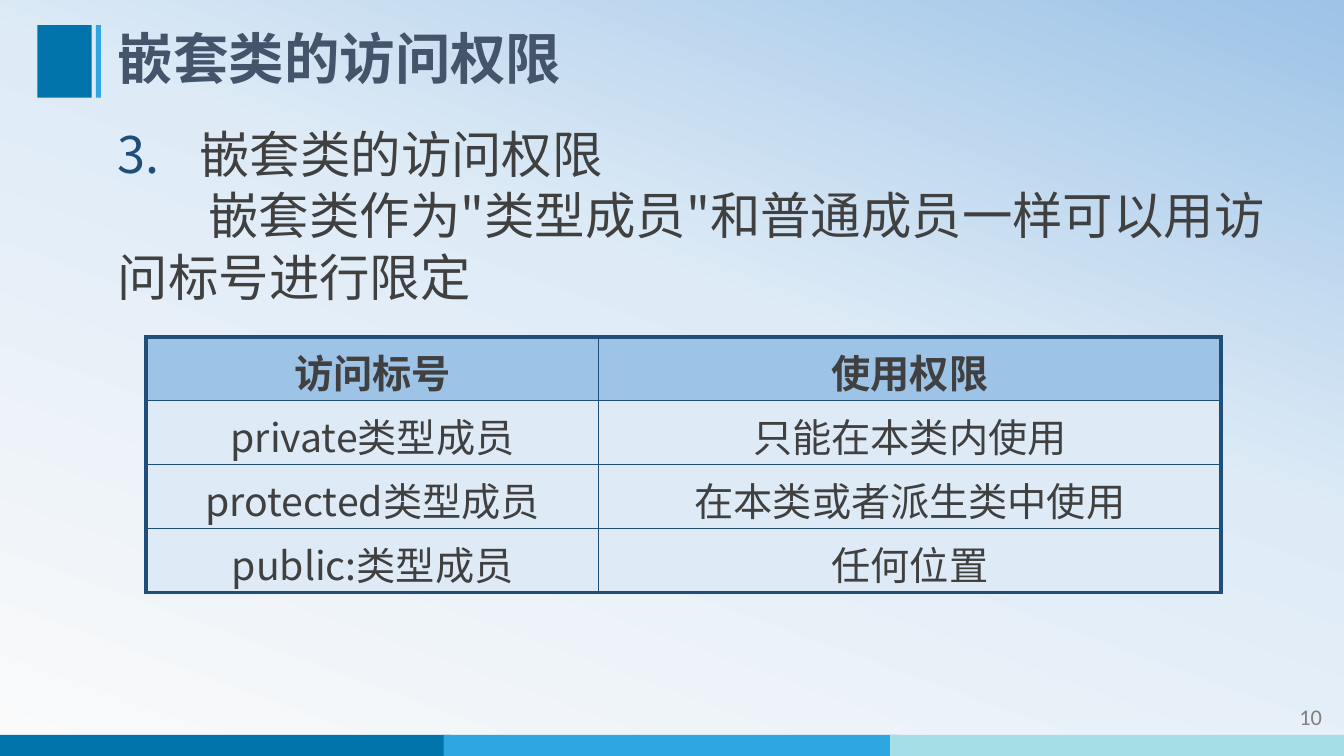
from pptx import Presentation
from pptx.dml.color import RGBColor
from pptx.enum.shapes import MSO_SHAPE
from pptx.enum.text import MSO_ANCHOR, PP_ALIGN
from pptx.oxml import parse_xml
from pptx.oxml.ns import nsdecls, qn
from pptx.util import Inches, Pt

COLORS = {
    "blue": "0073AB", "sky": "2EA7E0", "aqua": "A5DEE4",
    "title": "44546A", "text": "404040", "navy": "1F4E79", "gray": "808080",
    "header": "9DC3E6", "cell": "DEEBF7", "white": "FAFAFA",
}
CJK_FONT = "Noto Sans CJK SC"
TITLE = {"name": CJK_FONT, "size": Pt(39.6), "bold": True, "color": "title"}
BODY = {"name": CJK_FONT, "size": Pt(36), "color": "text"}
HEADER = {"name": CJK_FONT, "size": Pt(28), "bold": True, "color": "text"}
CELL = {**HEADER, "bold": False}
NUMBER = {"name": "Calibri", "size": Pt(16), "color": "gray"}

ACCESS_ROWS = [
    ("访问标号", "使用权限"),
    ("private类型成员", "只能在本类内使用"),
    ("protected类型成员", "在本类或者派生类中使用"),
    ("public:类型成员", "任何位置"),
]


def rgb(color):
    return RGBColor.from_string(COLORS[color])


def set_background(slide, stops, angle):
    stop_xml = "".join(
        f'<a:gs pos="{position * 1000}"><a:srgbClr val="{COLORS[color]}"/></a:gs>'
        for position, color in stops)
    background = parse_xml(
        f'<p:bg {nsdecls("p", "a")}><p:bgPr><a:gradFill rotWithShape="1">'
        f'<a:gsLst>{stop_xml}</a:gsLst><a:lin ang="{angle * 60000}" scaled="0"/>'
        '</a:gradFill><a:effectLst/></p:bgPr></p:bg>')
    slide._element.cSld.insert(0, background)


def add_block(slide, left, top, width, height, color):
    shape = slide.shapes.add_shape(
        MSO_SHAPE.RECTANGLE, Inches(left), Inches(top), Inches(width), Inches(height))
    shape.shadow.inherit = False
    shape.fill.solid()
    shape.fill.fore_color.rgb = rgb(color)
    shape.line.fill.background()


def write(paragraph, text, style, **layout):
    run = paragraph.add_run()
    run.text = text
    for name, value in style.items():
        if name == "color":
            run.font.color.rgb = rgb(value)
        else:
            setattr(run.font, name, value)
    # East Asian characters need their own typeface entry
    properties = run._r.get_or_add_rPr()
    properties.append(parse_xml(f'<a:ea {nsdecls("a")} typeface="{style["name"]}"/>'))
    for name, value in layout.items():
        setattr(paragraph, name, value)


def add_text_frame(slide, left, top, width, height, **settings):
    box = slide.shapes.add_textbox(
        Inches(left), Inches(top), Inches(width), Inches(height))
    for name, value in {"word_wrap": True, **settings}.items():
        setattr(box.text_frame, name, value)
    return box.text_frame


def set_indent(paragraph, margin, first_line):
    properties = paragraph._p.get_or_add_pPr()
    properties.set("marL", str(Inches(margin)))
    properties.set("indent", str(Inches(first_line)))


def number_paragraph(paragraph, start, color):
    properties = paragraph._p.get_or_add_pPr()
    properties.append(parse_xml(
        f'<a:buClr {nsdecls("a")}><a:srgbClr val="{COLORS[color]}"/></a:buClr>'))
    properties.append(parse_xml(
        f'<a:buAutoNum {nsdecls("a")} type="arabicPeriod" startAt="{start}"/>'))


def set_borders(cell, widths):
    properties = cell._tc.get_or_add_tcPr()
    for index, (side, width) in enumerate(widths.items()):
        properties.insert(index, parse_xml(
            f'<a:ln{side} {nsdecls("a")} w="{Pt(width)}"><a:solidFill>'
            f'<a:srgbClr val="{COLORS["navy"]}"/></a:solidFill></a:ln{side}>'))


def add_access_table(slide, left, top, column_widths, row_height, rows):
    last_row, last_column = len(rows) - 1, len(column_widths) - 1
    table = slide.shapes.add_table(
        len(rows), len(column_widths), Inches(left), Inches(top),
        Inches(sum(column_widths)), Inches(row_height * len(rows))).table
    table.horz_banding = False
    for column, width in zip(table.columns, column_widths):
        column.width = Inches(width)
    for row, texts in enumerate(rows):
        for column, text in enumerate(texts):
            cell = table.cell(row, column)
            cell.vertical_anchor = MSO_ANCHOR.MIDDLE
            cell.margin_bottom = 0
            write(cell.text_frame.paragraphs[0], text, CELL if row else HEADER,
                  alignment=PP_ALIGN.CENTER)
            cell.fill.solid()
            cell.fill.fore_color.rgb = rgb("cell" if row else "header")
            # Thick frame outside, thin lines inside
            set_borders(cell, {
                "L": 3 if column == 0 else 1,
                "R": 3 if column == last_column else 1,
                "T": 3 if row == 0 else 1,
                "B": 3 if row == last_row else 1,
            })


def main():
    presentation = Presentation()
    presentation.slide_width = Inches(13.33)
    presentation.slide_height = Inches(7.5)
    slide = presentation.slides.add_slide(presentation.slide_layouts[6])
    set_background(slide, [(0, "white"), (58, "cell"), (100, "header")], 290)

    # Footer bar and title marker
    for index, color in enumerate(("blue", "sky", "aqua")):
        add_block(slide, -0.03 + 4.43 * index, 7.29, 4.5, 0.21, color)
    add_block(slide, 0.37, 0.25, 0.54, 0.72, "blue")
    add_block(slide, 0.95, 0.25, 0.05, 0.72, "sky")

    # Page number and title
    number = add_text_frame(slide, 11.62, 6.91, 1.59, 0.4,
                            vertical_anchor=MSO_ANCHOR.MIDDLE)
    write(number.paragraphs[0], "10", NUMBER, alignment=PP_ALIGN.RIGHT)
    title = add_text_frame(slide, 1.07, 0.25, 10.86, 0.72,
                           vertical_anchor=MSO_ANCHOR.MIDDLE)
    write(title.paragraphs[0], "嵌套类的访问权限", TITLE, line_spacing=0.9)

    # Numbered heading with its explanation
    body = add_text_frame(slide, 1.07, 0.82, 11.61, 2.22, margin_top=Inches(0.4))
    heading, explanation = body.paragraphs[0], body.add_paragraph()
    write(heading, "嵌套类的访问权限", BODY, line_spacing=Pt(43.6))
    set_indent(heading, 0.81, -0.81)
    number_paragraph(heading, 3, "navy")
    write(explanation, "嵌套类作为\"类型成员\"和普通成员一样可以用访问标号进行限定",
          BODY, line_spacing=Pt(43.6))
    set_indent(explanation, 0, 0.9)

    # Access rights
    add_access_table(slide, 1.45, 3.34, (4.49, 6.17), 0.635, ACCESS_ROWS)

    presentation.save("out.pptx")


if __name__ == "__main__":
    main()
